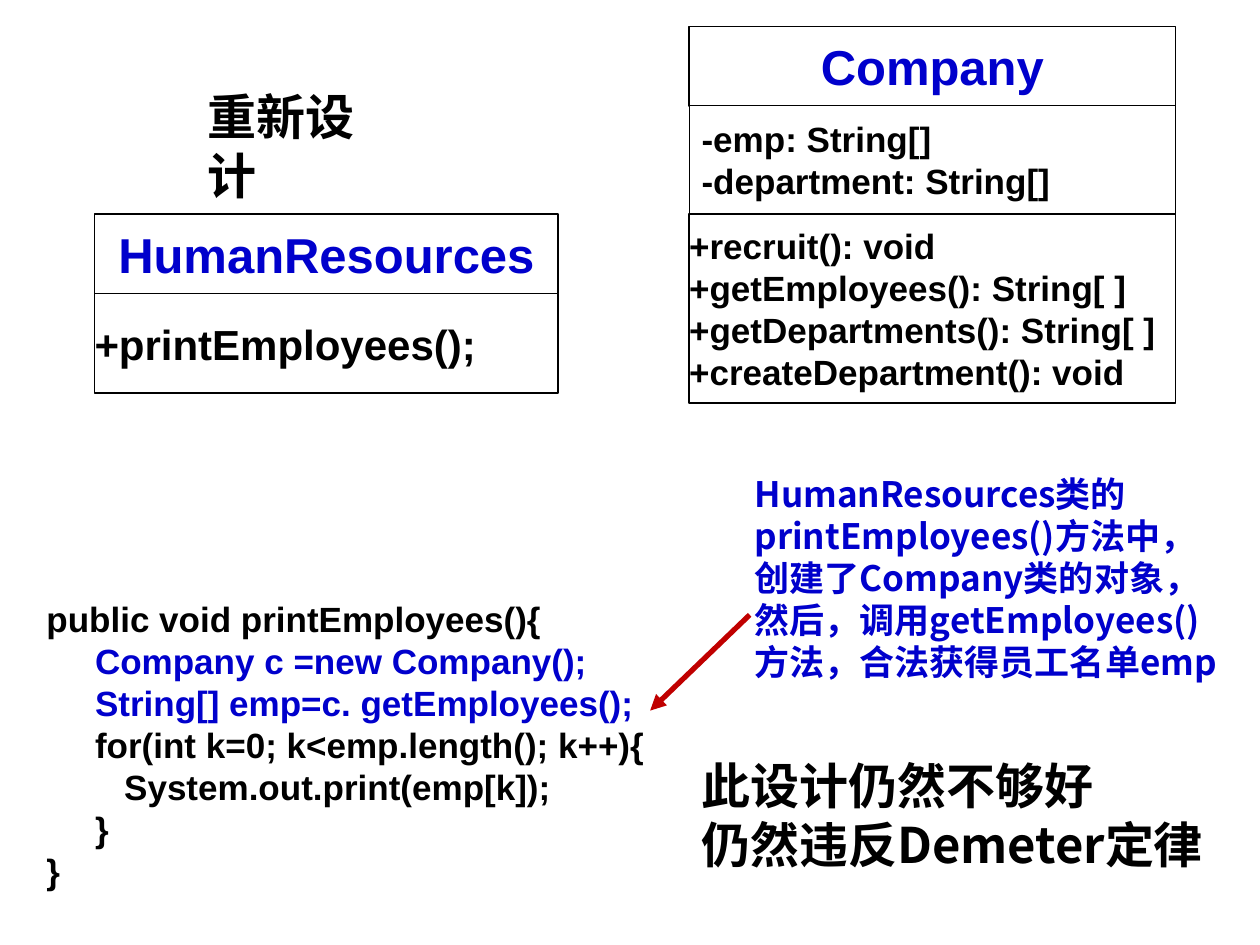
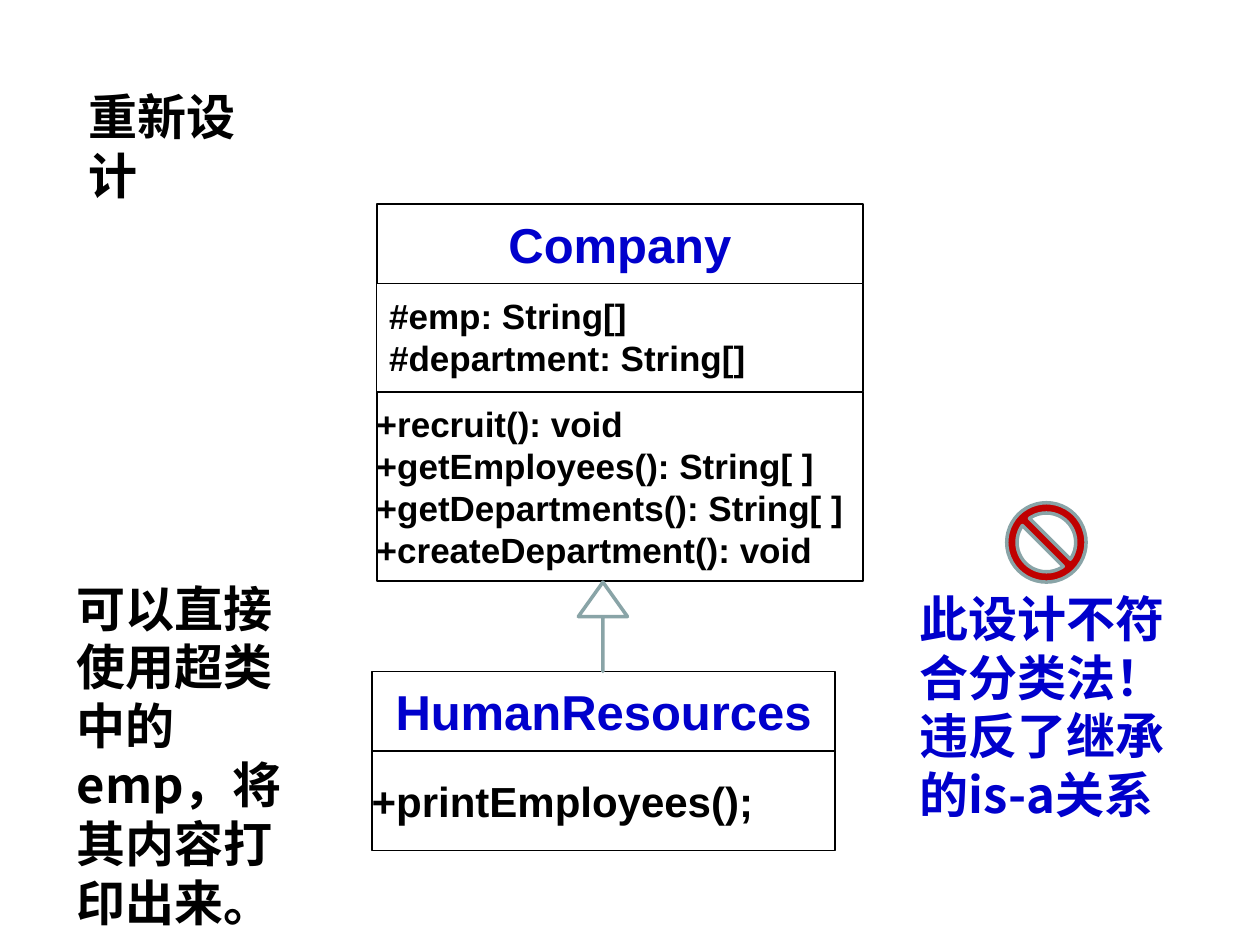
from pptx import Presentation, util as u
from pptx.dml.color import RGBColor
from pptx.enum import shapes as es, text as et
from pptx.oxml.ns import qn
from lxml import etree

HUE = {"ink": "000000", "blue": "0000CC", "red": "C00000",
       "gray": "89A4A7", "white": "FFFFFF"}
LATIN, HAN = "Arial", "Noto Sans CJK SC"
PAD = (0.1, 0.05, 0.1, 0.05)
SLIM = (0, 0.03, 0, 0.03)
LEFT, MID, JUST = et.PP_ALIGN.LEFT, et.PP_ALIGN.CENTER, et.PP_ALIGN.JUSTIFY
TOP, CORE = et.MSO_ANCHOR.TOP, et.MSO_ANCHOR.MIDDLE
GROW, FIXED = et.MSO_AUTO_SIZE.SHAPE_TO_FIT_TEXT, et.MSO_AUTO_SIZE.NONE

TITLE = "重新设计"
HEAD_H = 0.63
FIRM_W, STAFF_W = 3.86, 3.68
CALLS = ["+recruit(): void", "+getEmployees(): String[ ]",
         "+getDepartments(): String[ ]", "+createDepartment(): void"]
CODE = [("public void printEmployees(){", "ink"),
        ("     Company c =new Company();", "blue"),
        ("     String[] emp=c. getEmployees();", "blue"),
        ("     for(int k=0; k<emp.length(); k++){", "ink"),
        ("        System.out.print(emp[k]);", "ink"),
        ("     }", "ink"),
        ("}", "ink")]
NOTE = ["HumanResources类的", "printEmployees()方法中，", "创建了Company类的对象，",
        "然后，调用getEmployees()", "方法，合法获得员工名单emp"]


def rgb(name):
    return RGBColor.from_string(HUE[name])


def put(obj, vals):
    for key, val in vals.items():
        setattr(obj, key, val)


def box(x, y, w, h):
    return [u.Inches(v) for v in (x, y, w, h)]


def write(shape, lines, size, hue="ink", face=LATIN, align=LEFT,
          pad=PAD, anchor=TOP, wrap=True, fit=FIXED):
    """Fill a shape with lines; a line is a string or a (string, hue) pair."""
    frame = shape.text_frame
    sides = ("margin_left", "margin_top", "margin_right", "margin_bottom")
    put(frame, dict(zip(sides, map(u.Inches, pad))))
    put(frame, {"word_wrap": wrap, "auto_size": fit, "vertical_anchor": anchor})
    for i, line in enumerate(lines):
        words, tint = (line, hue) if isinstance(line, str) else line
        para = frame.add_paragraph() if i else frame.paragraphs[0]
        put(para, {"alignment": align, "line_spacing": u.Pt(size * 1.2)})
        run = para.add_run()
        run.text = words
        put(run.font, {"size": u.Pt(size), "bold": True, "name": face})
        run.font.color.rgb = rgb(tint)
        east = etree.SubElement(run.font._element, qn("a:ea"))
        east.set("typeface", face)


def label(slide, at, lines, size, **look):
    shape = slide.shapes.add_textbox(*box(*at))
    write(shape, lines, size, fit=GROW, **look)


def form(slide, kind, at, fill, line, width):
    shape = slide.shapes.add_shape(kind, *box(*at))
    shape.shadow.inherit = False
    if fill:
        shape.fill.solid()
        shape.fill.fore_color.rgb = rgb(fill)
    else:
        shape.fill.background()
    shape.line.color.rgb = rgb(line)
    shape.line.width = u.Pt(width)
    return shape


def stack(slide, x, y, w, name, parts):
    """Class diagram: a name cell, then (height, size, lines, edge, look) cells."""
    head = (HEAD_H, 28, [name], 1, {"hue": "blue", "align": MID})
    for h, size, lines, edge, look in [head, *parts]:
        cell = form(slide, es.MSO_SHAPE.RECTANGLE, (x, y, w, h),
                    "white", "ink", edge)
        write(cell, lines, size, **{"pad": SLIM, "anchor": CORE, **look})
        y += h


def firm(slide, x, y, mark):
    fields = [mark + "emp: String[]", mark + "department: String[]"]
    look = {"pad": (0.1, 0.09, 0.1, 0.01), "anchor": TOP, "align": JUST}
    stack(slide, x, y, FIRM_W, "Company",
          [(0.86, 20, fields, 0.75, look), (1.5, 20, CALLS, 1, {})])


def staff(slide, x, y):
    stack(slide, x, y, STAFF_W, "HumanResources",
          [(0.79, 24, ["+printEmployees();"], 1, {})])


def arrow(slide, start, end):
    ends = [u.Inches(v) for v in (*start, *end)]
    link = slide.shapes.add_connector(es.MSO_CONNECTOR.STRAIGHT, *ends)
    link.line.color.rgb = rgb("red")
    link.line.width = u.Pt(3)
    tip = etree.SubElement(link.line._get_or_add_ln(), qn("a:tailEnd"))
    tip.set("type", "triangle")
    etree.SubElement(link._element.spPr, qn("a:effectLst"))


def callout(slide, x, y):
    label(slide, (x, y, 3.94, 1.77), NOTE, 20, hue="blue", face=HAN, wrap=False)
    arrow(slide, (x + 0.06, y + 1.18), (x - 0.73, y + 1.94))


def inherit(slide, x, y):
    sign = form(slide, es.MSO_SHAPE.DOWN_ARROW, (x, y, 0.39, 0.71),
                None, "gray", 2)
    sign.rotation = 180
    sign.adjustments[0], sign.adjustments[1] = 0, 0.7


def ban(slide, x, y):
    sign = form(slide, es.MSO_SHAPE.NO_SYMBOL, (x, y, 0.63, 0.63),
                "red", "gray", 2)
    sign.adjustments[0] = 0.13


def start(deck, x):
    """Add a slide whose title begins at x."""
    slide = deck.slides.add_slide(deck.slide_layouts[5])
    title = slide.shapes.title
    put(title, dict(zip(("left", "top", "width", "height"),
                        box(x, 0.64, 1.75, 0.57))))
    write(title, [TITLE], 28, face=HAN, wrap=False)
    return slide


def reuse(deck):
    slide = start(deck, 1.55)
    staff(slide, 0.75, 1.7)
    firm(slide, 5.47, 0.21, "-")
    label(slide, (0.27, 4.69, 5.59, 2.44), CODE, 20)
    callout(slide, 5.89, 3.7)
    label(slide, (5.47, 5.95, 4.23, 1.5),
          ["此设计仍然不够好", "仍然违反Demeter定律"], 28, face=HAN)


def extend(deck):
    slide = start(deck, 0.6)
    firm(slide, 2.99, 1.62, "#")
    staff(slide, 2.95, 5.33)
    inherit(slide, 4.59, 4.62)
    label(slide, (0.51, 4.54, 2.05, 2.44),
          ["可以直接使用超类中的emp，将其内容打印出来。"], 28, face=HAN)
    ban(slide, 7.99, 3.99)
    label(slide, (7.2, 4.62, 2.36, 1.97),
          ["此设计不符合分类法！", "违反了继承的is-a关系"], 28,
          hue="blue", face=HAN)


def main():
    deck = Presentation()
    put(deck, {"slide_width": u.Inches(10), "slide_height": u.Inches(7.5)})
    reuse(deck)
    extend(deck)
    deck.save("out.pptx")


if __name__ == "__main__":
    main()
